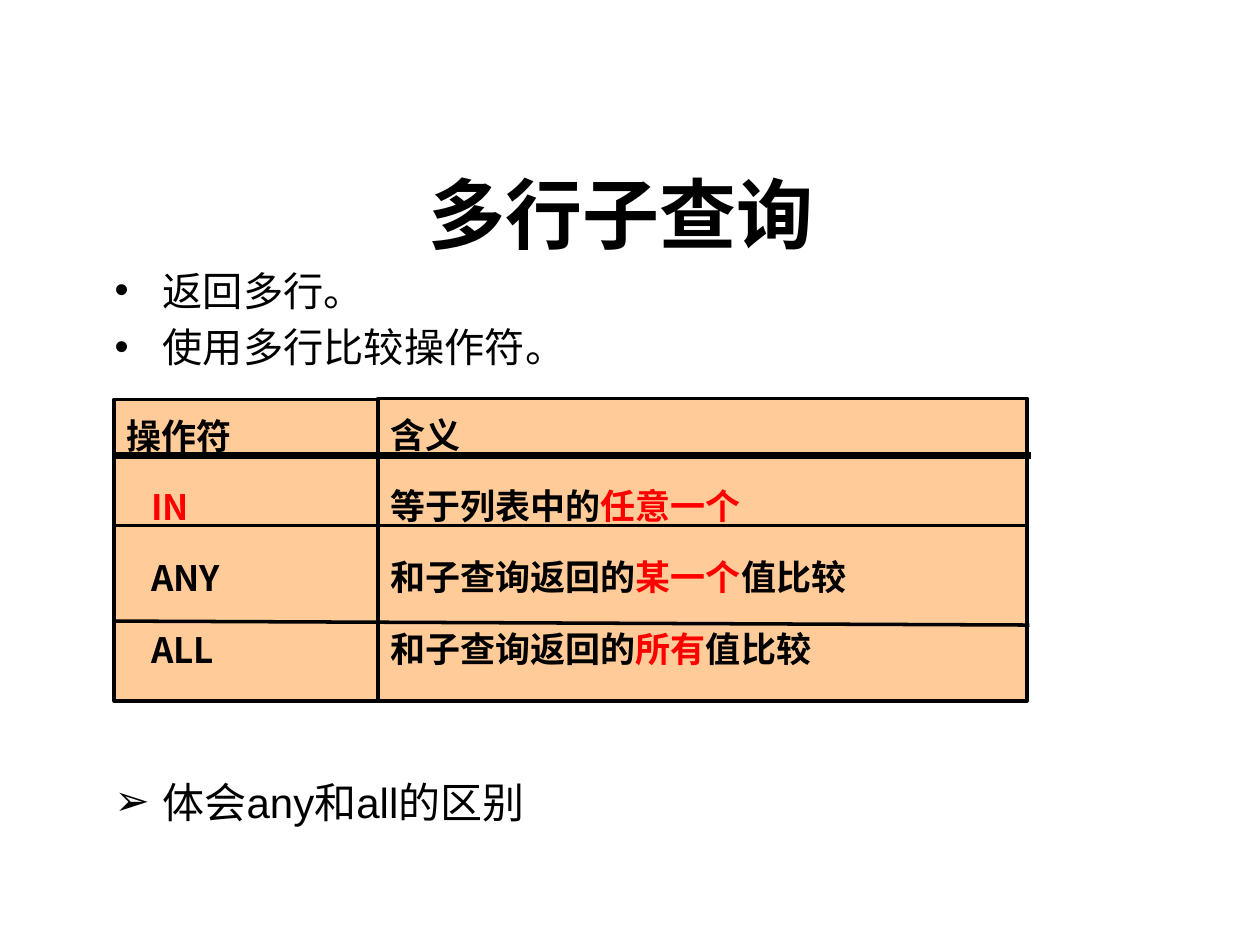
from lxml import etree
from pptx import Presentation
from pptx.dml.color import RGBColor
from pptx.enum.shapes import MSO_CONNECTOR, MSO_SHAPE
from pptx.enum.text import MSO_ANCHOR, MSO_AUTO_SIZE, PP_ALIGN
from pptx.oxml.ns import qn
from pptx.util import Cm, Pt

LINE, RECT = MSO_CONNECTOR.STRAIGHT, MSO_SHAPE.RECTANGLE
TOP, FIXED = MSO_ANCHOR.TOP, MSO_AUTO_SIZE.NONE
LEFT, CENTER = PP_ALIGN.LEFT, PP_ALIGN.CENTER

COLORS = {"ink": "000000", "mark": "FF0000", "cell": "FFCC99"}
HAN = "Noto Sans CJK SC"

# Each paragraph is a list of (text, colour) runs
SIGNS = [
    [("操作符", "ink")],
    [("IN", "mark")],
    [("ANY", "ink")],
    [("ALL", "ink")],
]
SENSES = [
    [("含义", "ink")],
    [("等于列表中的", "ink"), ("任意一个", "mark")],
    [("和子查询返回的", "ink"), ("某一个", "mark"), ("值比较", "ink")],
    [("和子查询返回的", "ink"), ("所有", "mark"), ("值比较", "ink")],
]
POINTS = ["返回多行。", "使用多行比较操作符。"]


def color(key):
    return RGBColor.from_string(COLORS[key])


def place(shape, box):
    shape.left, shape.top, shape.width, shape.height = map(Cm, box)


def set_frame(frame):
    frame.word_wrap = True
    frame.auto_size = FIXED
    frame.vertical_anchor = TOP
    frame.margin_left = frame.margin_right = Cm(0.25)
    frame.margin_top = frame.margin_bottom = Cm(0.13)


def write(para, runs, size, bold=False, face=HAN, align=LEFT, gap=0, lead=1.0):
    para.alignment = align
    para.space_before = Pt(gap)
    para.line_spacing = lead
    para.font.size, para.font.bold, para.font.name = Pt(size), bold, face
    for text, key in runs:
        run = para.add_run()
        run.text = text
        run.font.name = face
        run.font.color.rgb = color(key)
        # East Asian glyphs take their own typeface
        east = etree.SubElement(run.font._element, qn("a:ea"))
        east.set("typeface", HAN)


def indent(para, left, first=0):
    props = para._p.get_or_add_pPr()
    props.set("marL", str(Cm(left)))
    props.set("indent", str(Cm(first)))
    return props


def add_list(slide, box, items, size, sign, **style):
    shape = slide.shapes.add_textbox(*map(Cm, box))
    frame = shape.text_frame
    set_frame(frame)
    for i, item in enumerate(items):
        para = frame.add_paragraph() if i else frame.paragraphs[0]
        write(para, [(item, "ink")], size, **style)
        props = indent(para, 0.97, -0.97)
        etree.SubElement(props, qn("a:buFont")).set("typeface", "Arial")
        etree.SubElement(props, qn("a:buChar")).set("char", sign)


def add_column(slide, box, rows, inset=0):
    shape = slide.shapes.add_shape(RECT, *map(Cm, box))
    shape.shadow.inherit = False
    shape.fill.solid()
    shape.fill.fore_color.rgb = color("cell")
    shape.line.color.rgb = color("ink")
    shape.line.width = Pt(2)
    frame = shape.text_frame
    set_frame(frame)
    for i, runs in enumerate(rows):
        para = frame.add_paragraph() if i else frame.paragraphs[0]
        write(para, runs, 20, bold=True, gap=12, lead=1.2)
        indent(para, inset if i else 0)


def add_rule(slide, x1, y1, x2, y2, width):
    rule = slide.shapes.add_connector(LINE, Cm(x1), Cm(y1), Cm(x2), Cm(y2))
    rule.line.color.rgb = color("ink")
    rule.line.width = Pt(width)
    etree.SubElement(rule._element.spPr, qn("a:effectLst"))


def main():
    deck = Presentation()
    deck.slide_width, deck.slide_height = Cm(25.4), Cm(19.05)
    slide = deck.slides.add_slide(deck.slide_layouts[5])

    # Title
    title = slide.shapes.title
    place(title, (1.83, 3.23, 21.39, 3.99))
    set_frame(title.text_frame)
    write(title.text_frame.paragraphs[0], [("多行子查询", "ink")], 44,
          bold=True, align=CENTER)

    # Key points
    add_list(slide, (2.06, 5.23, 21.39, 2.39), POINTS, 23, "•", gap=4.6)

    # Operator grid: two columns and the rules across them
    add_column(slide, (2.3, 8.05, 5.41, 6.08), SIGNS, inset=0.5)
    add_column(slide, (7.62, 8.03, 13.08, 6.1), SENSES)
    for y1, x2, y2, width in [(9.19, 20.78, 9.19, 4),
                              (10.59, 20.75, 10.59, 2),
                              (12.52, 20.75, 12.6, 2)]:
        add_rule(slide, 2.31, y1, x2, y2, width)

    # Closing remark
    add_list(slide, (2.06, 15.52, 18.62, 1.3), ["体会any和all的区别"], 24, "➢",
             face="Arial")

    deck.save("out.pptx")


if __name__ == "__main__":
    main()
